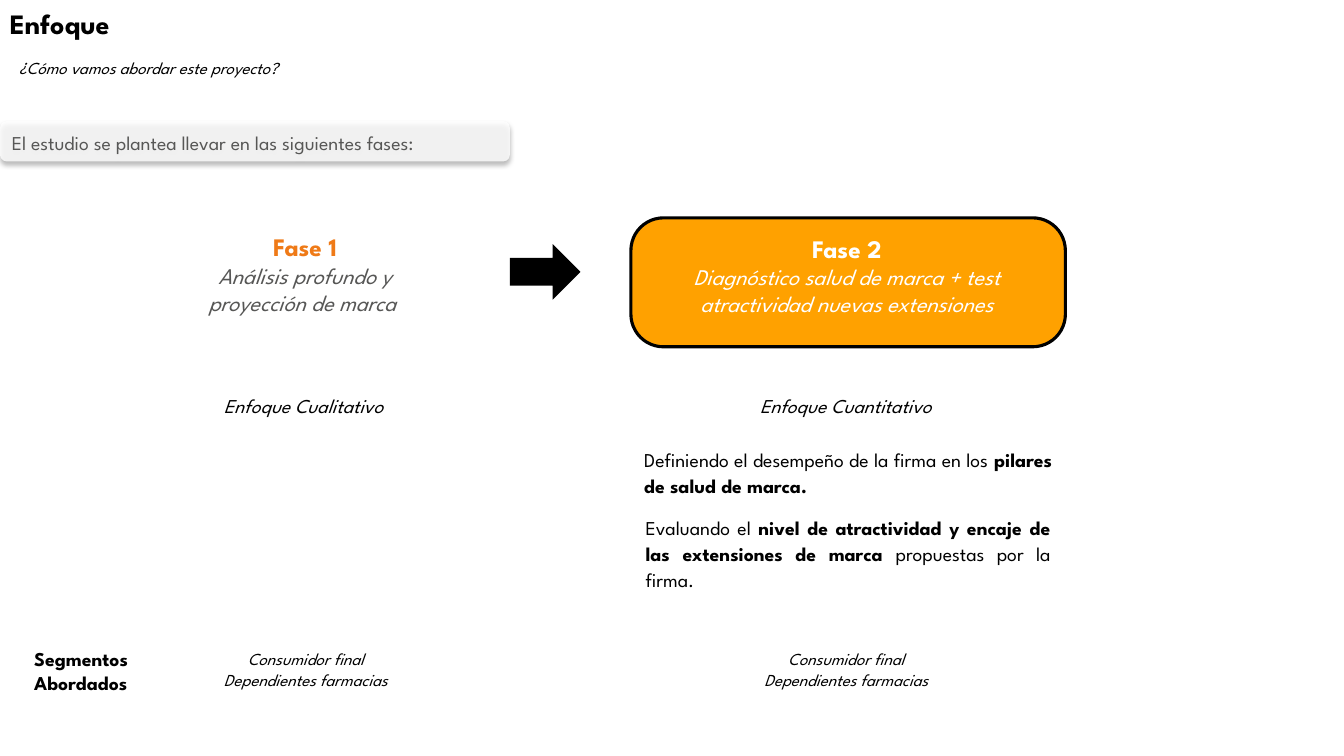
from dataclasses import dataclass
from typing import Optional

from lxml import etree
from pptx import Presentation
from pptx import util as u
from pptx.dml.color import RGBColor
from pptx.enum import shapes, text
from pptx.oxml.ns import qn

FONT = "League Spartan"
COLORS = {
    "black": "000000",
    "white": "FFFFFF",
    "gray": "575756",
    "orange": "EF7A17",
    "amber": "FFA100",
}
LEFT, CENTER, JUSTIFY = text.PP_ALIGN.LEFT, text.PP_ALIGN.CENTER, text.PP_ALIGN.JUSTIFY
TIGHT, ROOMY = (0.25, 0.13), (0.33, 0.18)


@dataclass(frozen=True)
class Box:
    x: float
    y: float
    w: float
    h: float

    def lengths(self) -> tuple:
        return tuple(u.Cm(v) for v in (self.x, self.y, self.w, self.h))


@dataclass(frozen=True)
class Style:
    size: int
    color: str = "black"
    bold: bool = False
    italic: bool = False


@dataclass(frozen=True)
class Label:
    box: Box
    words: str
    styles: tuple
    align: object = CENTER
    inset: tuple = ROOMY


@dataclass(frozen=True)
class Card:
    box: Box
    fill: Optional[str] = None
    line: Optional[str] = None
    kind: object = shapes.MSO_SHAPE.ROUNDED_RECTANGLE
    corner: Optional[float] = None


@dataclass(frozen=True)
class Statement:
    card: Card
    spans: tuple
    color: str = "black"


def rgb(name: str) -> RGBColor:
    return RGBColor.from_string(COLORS[name])


def format_run(r, style: Style) -> None:
    r.font.name = FONT
    r.font.size = u.Pt(style.size)
    r.font.bold = style.bold
    r.font.italic = style.italic
    r.font.color.rgb = rgb(style.color)


def set_frame(tf, inset: tuple) -> None:
    tf.word_wrap = True
    tf.margin_left = tf.margin_right = u.Cm(inset[0])
    tf.margin_top = tf.margin_bottom = u.Cm(inset[1])


def draw_label(s, label: Label) -> None:
    tf = s.shapes.add_textbox(*label.box.lengths()).text_frame
    set_frame(tf, label.inset)
    tf.text = label.words
    for i, p in enumerate(tf.paragraphs):
        p.alignment = label.align
        for r in p.runs:
            format_run(r, label.styles[min(i, len(label.styles) - 1)])


def draw_card(s, card: Card):
    sp = s.shapes.add_shape(card.kind, *card.box.lengths())
    sp.shadow.inherit = False
    if card.corner is not None:
        sp.adjustments[0] = card.corner
    if card.fill:
        sp.fill.solid()
        sp.fill.fore_color.rgb = rgb(card.fill)
    else:
        sp.fill.background()
    if card.line:
        sp.line.color.rgb = rgb(card.line)
        sp.line.width = u.Pt(2.25)
    else:
        sp.line.fill.background()
    return sp


def draw_statement(s, statement: Statement):
    sp = draw_card(s, statement.card)
    tf = sp.text_frame
    set_frame(tf, TIGHT)
    tf.vertical_anchor = text.MSO_ANCHOR.MIDDLE
    p = tf.paragraphs[0]
    p.alignment = JUSTIFY
    p.line_spacing = 1.1
    for words, bold in statement.spans:
        r = p.add_run()
        r.text = words
        format_run(r, Style(14, statement.color, bold))
    return sp


def add_glass_effect(sp) -> None:
    props = sp._element.spPr
    color = props.find(qn("a:solidFill"))[0]
    etree.SubElement(color, qn("a:alpha"), val="80000")
    shadow = etree.SubElement(
        props.find(qn("a:effectLst")), qn("a:outerShdw"),
        blurRad=str(u.Pt(3.5)), dist=str(u.Pt(2.2)), dir="5400000",
        algn="t", rotWithShape="0")
    tint = etree.SubElement(shadow, qn("a:srgbClr"), val=COLORS["black"])
    etree.SubElement(tint, qn("a:alpha"), val="32000")


APPROACH = (Style(14, italic=True),)
AUDIENCE = (Style(12, italic=True),)
SEGMENTS = "Consumidor final\nDependientes farmacias"

CARDS = (
    Card(Box(15.9, 5.49, 10.95, 3.25), "amber", "black", corner=0.253),
    Card(Box(3.51, 5.49, 8.31, 3.25), "white", corner=0.253),
    Card(Box(12.85, 6.15, 1.78, 1.4), "black", kind=shapes.MSO_SHAPE.RIGHT_ARROW),
)
INTRO = Statement(
    Card(Box(0, 3.05, 12.85, 1.02), "white"),
    (("El estudio se plantea llevar en las siguientes fases:", False),), "gray")
GOALS = (
    Statement(Card(Box(15.9, 11, 10.95, 1.75)), (
        ("Definiendo el desempeño de la firma en los ", False),
        ("pilares de salud de marca.", True))),
    Statement(Card(Box(15.9, 12.7, 10.95, 2.46)), (
        ("Evaluando el ", False),
        ("nivel de atractividad y encaje de las extensiones de marca ", True),
        ("propuestas por la firma.", False))),
)
LABELS = (
    Label(Box(0, 0.03, 24.13, 1.12), "Enfoque", (Style(20, bold=True),), LEFT, TIGHT),
    Label(Box(0.23, 1.32, 12.04, 0.76), "¿Cómo vamos abordar este proyecto?",
          AUDIENCE, LEFT, TIGHT),
    Label(Box(4.11, 5.66, 7.16, 2.49),
          "Fase 1\nAnálisis profundo y proyección de marca ",
          (Style(18, "orange", bold=True), Style(16, "gray", italic=True))),
    Label(Box(16.1, 5.69, 10.49, 2.49),
          "Fase 2\nDiagnóstico salud de marca + test atractividad nuevas extensiones",
          (Style(18, "white", bold=True), Style(16, "white", italic=True))),
    Label(Box(4.9, 9.75, 5.51, 0.94), "Enfoque Cualitativo", APPROACH),
    Label(Box(17.55, 9.75, 7.54, 0.94), "Enfoque Cuantitativo", APPROACH),
    Label(Box(0.53, 16.13, 4.24, 1.55), "Segmentos\nAbordados",
          (Style(14, bold=True),), LEFT),
    Label(Box(4.52, 16.18, 6.38, 1.37), SEGMENTS, AUDIENCE),
    Label(Box(18.14, 16.18, 6.38, 1.37), SEGMENTS, AUDIENCE),
)


def main() -> None:
    prs = Presentation()
    prs.slide_width, prs.slide_height = u.Cm(33.87), u.Cm(19.05)
    s = prs.slides.add_slide(prs.slide_layouts[6])
    for card in CARDS:
        draw_card(s, card)
    add_glass_effect(draw_statement(s, INTRO))
    for goal in GOALS:
        draw_statement(s, goal)
    for label in LABELS:
        draw_label(s, label)
    prs.save("out.pptx")


if __name__ == "__main__":
    main()
